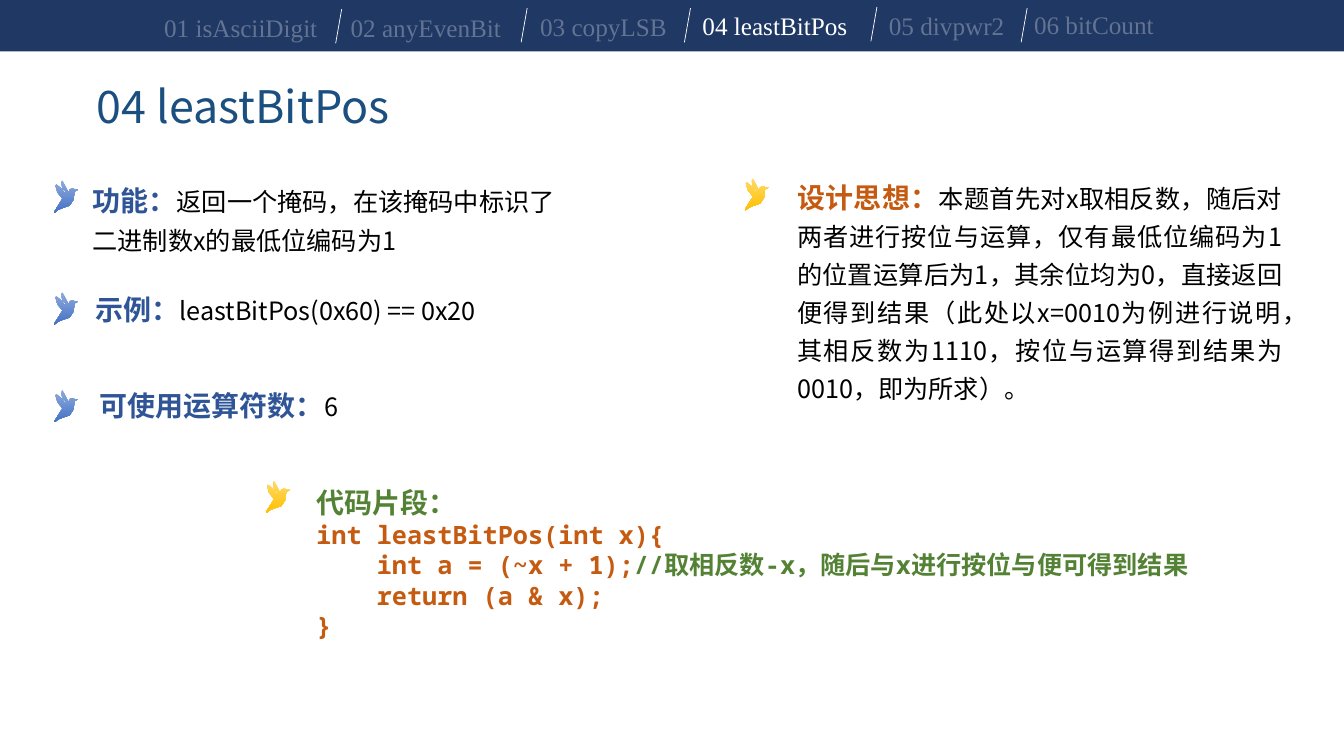
from lxml.etree import SubElement
from pptx import Presentation
from pptx.dml.color import RGBColor
from pptx.enum.shapes import MSO_CONNECTOR, MSO_SHAPE
from pptx.enum.text import MSO_ANCHOR, MSO_AUTO_SIZE, PP_ALIGN
from pptx.oxml.ns import qn
from pptx.util import Inches, Pt

NAVY = RGBColor(0x20, 0x38, 0x64)
WHITE = RGBColor(0xFF, 0xFF, 0xFF)
BLACK = RGBColor(0, 0, 0)
TEAL = RGBColor(0x1B, 0x4F, 0x80)
BLUE = RGBColor(0x2F, 0x55, 0x97)
RUST = RGBColor(0xC5, 0x5A, 0x11)
GREEN = RGBColor(0x54, 0x82, 0x35)
SKY = (RGBColor(0x8F, 0xAA, 0xDC), RGBColor(0x44, 0x72, 0xC4))
GOLD = (RGBColor(0xFF, 0xD9, 0x66), RGBColor(0xFF, 0xC0, 0x00))

SANS, MONO, SERIF = "Noto Sans CJK SC", "Noto Sans Mono", "Times New Roman"
FORMATS = {
    "nav": {"size": Pt(18), "name": SERIF},
    "title": {"size": Pt(32), "name": SANS, "bold": False},
    "head": {"size": Pt(20), "name": SANS, "bold": True},
    "body": {"size": Pt(18), "name": SANS, "bold": False},
    "code": {"size": Pt(18), "name": MONO, "bold": True},
}
BIRD = [(24, 9), (20, 9), (19, 8), (17, 8), (15, 9), (14, 12), (11, 6), (8, 0),
        (7, 1), (7, 4), (8, 8), (11, 11), (12, 15), (7, 8), (2, 4), (1, 5),
        (3, 12), (8, 18), (0, 31), (0, 32), (4, 29), (9, 27), (15, 25),
        (19, 19), (20, 11)]


class Deck:
    """Draws styled elements on a slide grid of tenth-inch columns and rows."""

    def __init__(self):
        self.deck = Presentation()
        self.deck.slide_width, self.deck.slide_height = self.grid(133.33, 75)
        self.slide = self.deck.slides.add_slide(self.deck.slide_layouts[5])
        self.shapes = self.slide.shapes

    def grid(self, *cells):
        return [Inches(cell / 10) for cell in cells]

    def band(self, box, tint):
        band = self.shapes.add_shape(MSO_SHAPE.RECTANGLE, *self.grid(*box))
        band.shadow.inherit = False
        band.fill.solid()
        band.fill.fore_color.rgb = tint
        band.line.fill.background()

    def slash(self, col, row):
        ends = self.grid(col, row, col - 0.6, row + 3.4)
        line = self.shapes.add_connector(MSO_CONNECTOR.STRAIGHT, *ends)
        line.line.color.rgb = WHITE
        line.line.width = Pt(0.5)
        SubElement(line._element.spPr, qn("a:effectLst"))

    def bird(self, col, row, tints):
        form = self.shapes.build_freeform(*BIRD[0], scale=Inches(0.01))
        form.add_line_segments(BIRD[1:])
        bird = form.convert_to_shape(*self.grid(col, row))
        bird.shadow.inherit = False
        bird.line.fill.background()
        bird.fill.gradient()
        bird.fill.gradient_angle = 270
        for stop, tint in zip(bird.fill.gradient_stops, tints):
            stop.color.rgb = tint

    def run(self, para, text, style, tint, alpha=None):
        run = para.add_run()
        run.text = text
        run.font.color.rgb = tint
        for key, value in FORMATS[style].items():
            setattr(run.font, key, value)
        props = run._r.get_or_add_rPr()
        SubElement(props, qn("a:ea"), typeface=SANS)
        if alpha:
            color = props.find(".//" + qn("a:srgbClr"))
            SubElement(color, qn("a:alpha"), val=str(alpha * 1000))

    def text(self, box, paras, wrap=True, frame=None, indents=(), **form):
        frame = frame or self.shapes.add_textbox(*self.grid(*box)).text_frame
        frame.word_wrap = wrap
        frame.auto_size = MSO_AUTO_SIZE.SHAPE_TO_FIT_TEXT
        for index, runs in enumerate(paras):
            para = frame.add_paragraph() if index else frame.paragraphs[0]
            for key, value in form.items():
                setattr(para, key, value)
            if index in indents:
                props = para._p.get_or_add_pPr()
                props.set("marL", str(Inches(0.6)))
                props.set("indent", "0")
            for run in runs:
                self.run(para, *run)

    def title(self, box, text):
        title = self.shapes.title
        title.left, title.top, title.width, title.height = self.grid(*box)
        title.text_frame.vertical_anchor = MSO_ANCHOR.TOP
        self.text(box, [[(text, "title", TEAL)]], wrap=False,
                  frame=title.text_frame, alignment=PP_ALIGN.LEFT)


def main():
    page = Deck()
    page.band((0, -0.3, 133.33, 5.4), NAVY)
    page.title((8.6, 7.3, 31.8, 6.4), "04 leastBitPos")

    tabs = [("01 isAsciiDigit", 15.3, 0.7, 17.4), ("02 anyEvenBit", 33.8, 0.7, 17.1),
            ("03 copyLSB", 52.6, 0.6, 14.7), ("04 leastBitPos", 68.7, 0.5, 16.5),
            ("05 divpwr2", 87.2, 0.5, 13.6), ("06 bitCount", 101.6, 0.4, 14)]
    for name, col, row, width in tabs:
        alpha = None if name.startswith("04") else 30
        page.text((col, row, width, 4), [[(name, "nav", WHITE, alpha)]], wrap=False)
    for spot in [(33.9, 0.9), (52.3, 0.8), (68.5, 0.8), (87, 0.7), (101.9, 0.8)]:
        page.slash(*spot)

    facts = [
        (17.9, (8.2, 16.9, 50.1, 12), "功能：",
         "返回⼀个掩码，在该掩码中标识了二进制数x的最低位编码为1", 1.25),
        (29, (8.5, 28.5, 58.1, 4.4), "示例：", "leastBitPos(0x60) == 0x20", 1),
        (38.7, (8.9, 38.1, 50.1, 4.4), "可使用运算符数：", "6", 1),
    ]
    for row, box, head, body, gap in facts:
        page.bird(5.4, row, SKY)
        page.text(box, [[(head, "head", BLUE), (body, "body", BLACK)]],
                  line_spacing=gap)

    page.bird(73.9, 17.7, GOLD)
    idea = ("本题首先对x取相反数，随后对两者进行按位与运算，仅有最低位编码为1的位置运算后为1，"
            "其余位均为0，直接返回便得到结果（此处以x=0010为例进行说明，其相反数为1110，"
            "按位与运算得到结果为0010，即为所求）。")
    page.text((78.1, 16.6, 50.1, 27.2),
              [[("设计思想：", "head", RUST), (idea, "body", BLACK)]],
              line_spacing=1.25, alignment=PP_ALIGN.JUSTIFY)

    page.bird(26.4, 47.7, GOLD)
    note = "//取相反数-x，随后与x进行按位与便可得到结果"
    page.text((30.4, 47.7, 97.7, 16.5), [
        [("代码片段：", "head", GREEN)],
        [("int leastBitPos(int x){", "code", RUST)],
        [("int a = (~x + 1);", "code", RUST), (note, "code", GREEN)],
        [("return (a & x);", "code", RUST)],
        [("}", "code", RUST)],
    ], indents=(2, 3))
    page.deck.save("out.pptx")


if __name__ == "__main__":
    main()
